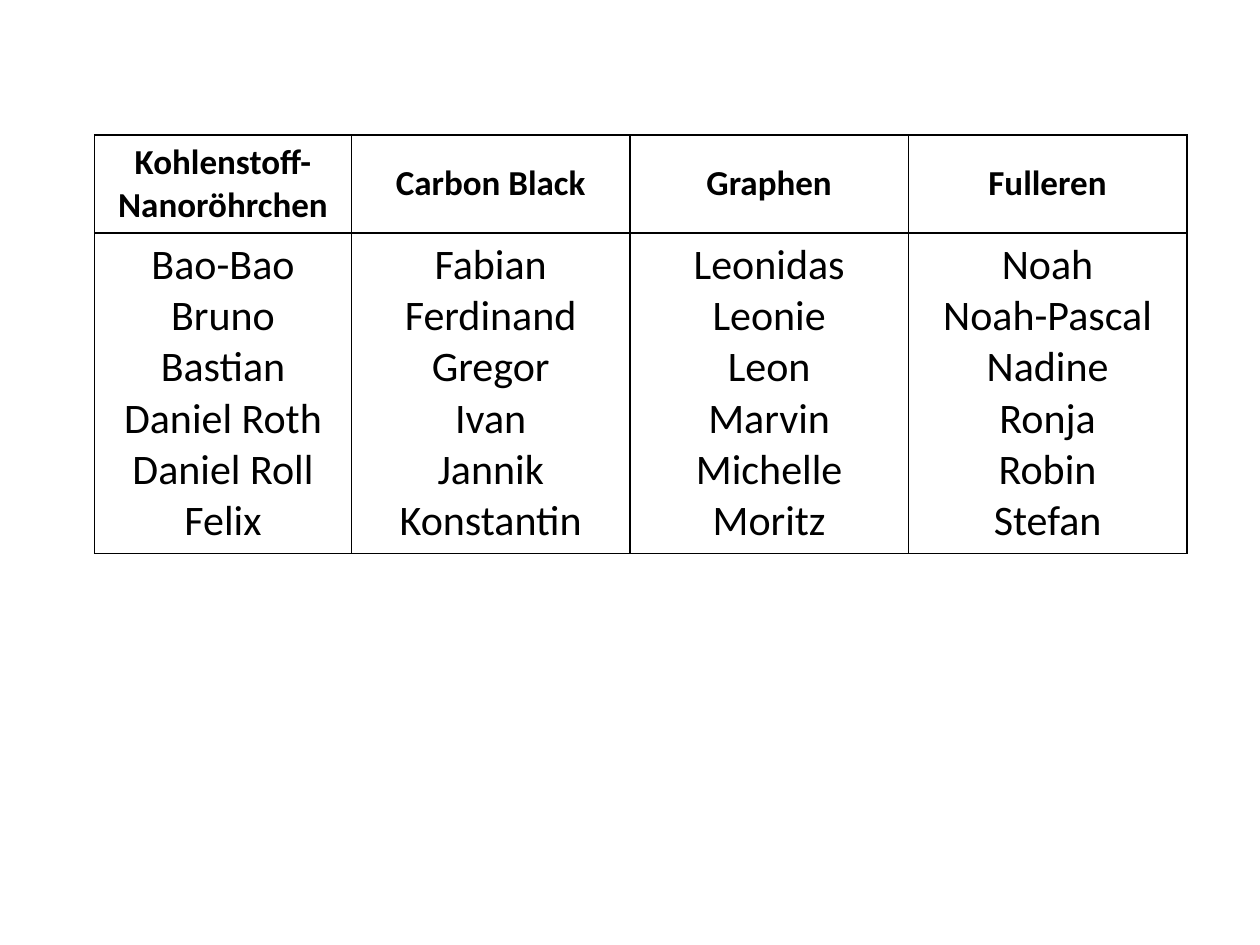
from dataclasses import dataclass

from lxml.etree import SubElement
from pptx import Presentation
from pptx.dml.color import RGBColor
from pptx.enum.text import MSO_ANCHOR as Anchor, PP_ALIGN as Align
from pptx.oxml.ns import qn
from pptx.util import Inches, Pt


@dataclass(frozen=True)
class Theme:
    """Colours, type sizes and line width of the deck."""
    font: str = "Calibri"
    ink: str = "000000"
    header_size: int = 20
    name_size: int = 24
    border: float = 1


class GroupPage:
    """Hold the theme and the current slide and add elements to it."""

    def __init__(self, deck, theme):
        self.theme = theme
        self.page = deck.slides.add_slide(deck.slide_layouts[6])

    def add_border(self, cell):
        properties = cell._tc.get_or_add_tcPr()
        for position, side in enumerate(("a:lnL", "a:lnR", "a:lnT", "a:lnB")):
            line = properties.makeelement(qn(side), {"w": str(Pt(self.theme.border))})
            fill = SubElement(line, qn("a:solidFill"))
            SubElement(fill, qn("a:srgbClr"), val=self.theme.ink)
            properties.insert(position, line)

    def fill_cell(self, cell, text, size, bold, anchor):
        cell.text_frame.text = text
        cell.vertical_anchor = anchor
        cell.fill.background()
        for para in cell.text_frame.paragraphs:
            para.alignment = Align.CENTER
            for span in para.runs:
                span.font.name = self.theme.font
                span.font.size = Pt(size)
                span.font.bold = bold
                span.font.color.rgb = RGBColor.from_string(self.theme.ink)
        self.add_border(cell)

    def add_groups(self, groups, left, top, widths, heights):
        frame = self.page.shapes.add_table(
            len(heights), len(groups), Inches(left), Inches(top),
            Inches(sum(widths)), Inches(sum(heights)))
        table = frame.table
        table.horz_banding = False
        for row, height in zip(table.rows, heights):
            row.height = Inches(height)
        for index, (topic, names) in enumerate(groups.items()):
            table.columns[index].width = Inches(widths[index])
            self.fill_cell(table.cell(0, index), topic,
                           self.theme.header_size, True, Anchor.MIDDLE)
            self.fill_cell(table.cell(1, index), "\n".join(names),
                           self.theme.name_size, False, Anchor.TOP)


GROUPS = {
    "Kohlenstoff-Nanoröhrchen": [
        "Bao-Bao", "Bruno", "Bastian", "Daniel Roth", "Daniel Roll", "Felix"],
    "Carbon Black": [
        "Fabian", "Ferdinand", "Gregor", "Ivan", "Jannik", "Konstantin"],
    "Graphen": [
        "Leonidas", "Leonie", "Leon", "Marvin", "Michelle", "Moritz"],
    "Fulleren": [
        "Noah", "Noah-Pascal", "Nadine", "Ronja", "Robin", "Stefan"],
}


def main():
    deck = Presentation()
    deck.slide_width, deck.slide_height = Inches(10), Inches(7.5)
    page = GroupPage(deck, Theme())
    page.add_groups(GROUPS, 0.75, 1.07, [2.04] + [2.21] * 3, [0.78, 2.54])
    deck.save("out.pptx")


if __name__ == "__main__":
    main()
